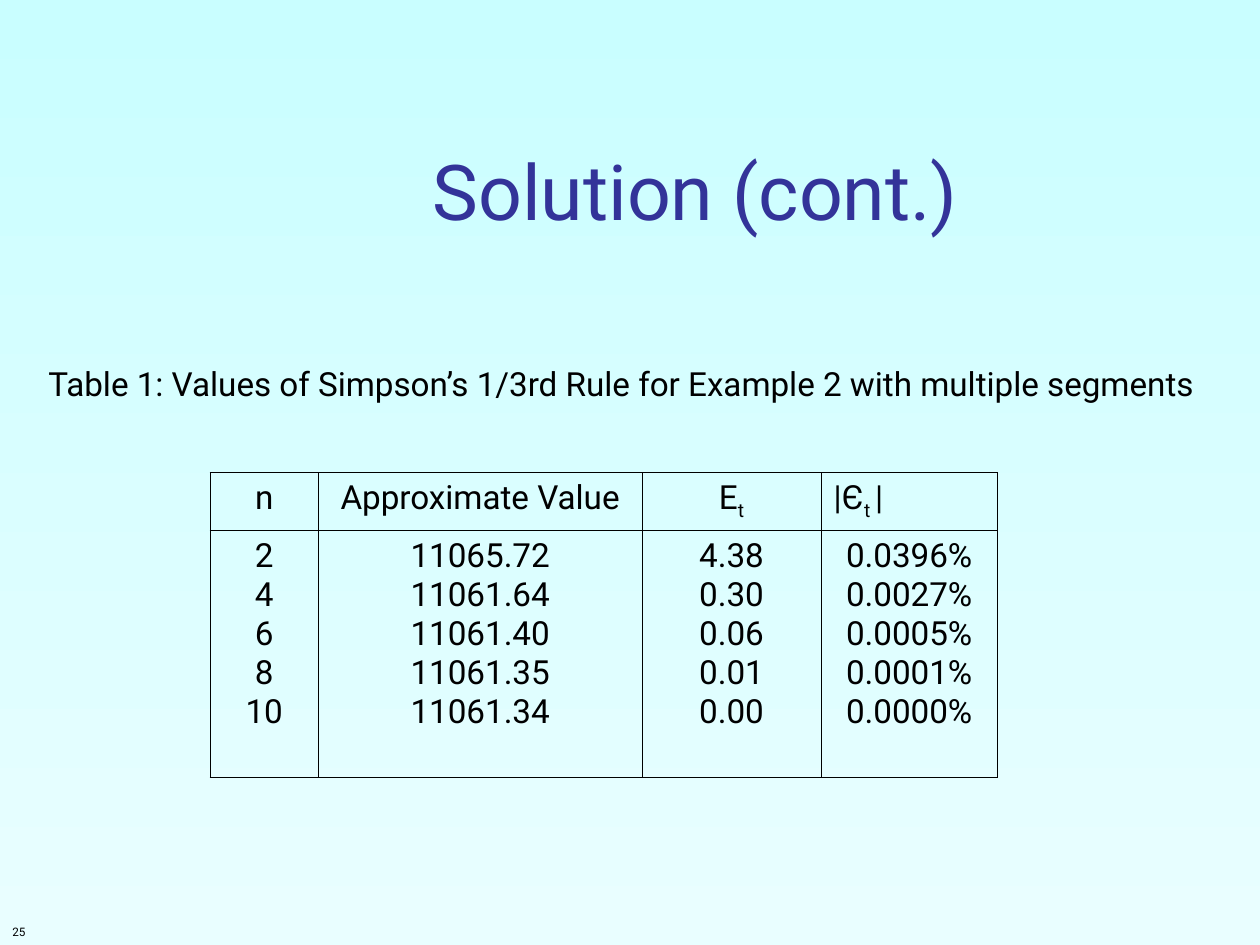
from lxml import etree
from pptx import Presentation
from pptx import util as u
from pptx.dml.color import RGBColor
from pptx.enum import text
from pptx.oxml.ns import qn

WIDTH, HEIGHT = 10, 7.5
FONT = "Roboto"
BODY_SIZE = 19
BORDER_WIDTH = 0.45
COLORS = {
    "sky_top": "C9FEFF",
    "sky_bottom": "E9FEFF",
    "title": "333399",
    "ink": "000000",
}
SUBSCRIPT = -25
COLUMN_WIDTHS = [0.86, 2.57, 1.42, 1.4]
ROW_HEIGHTS = [0.46, 1.96]
# Each heading is a list of (text, baseline shift in percent).
HEADINGS = [
    [("n", 0)],
    [("Approximate Value", 0)],
    [("E", 0), ("t", SUBSCRIPT)],
    [("|Є", 0), ("t ", SUBSCRIPT), ("|", 0)],
]
RESULTS = [
    ("2", "11065.72", "4.38", "0.0396%"),
    ("4", "11061.64", "0.30", "0.0027%"),
    ("6", "11061.40", "0.06", "0.0005%"),
    ("8", "11061.35", "0.01", "0.0001%"),
    ("10", "11061.34", "0.00", "0.0000%"),
]


def color(name):
    return RGBColor.from_string(COLORS[name])


def add_run(paragraph, words, size=BODY_SIZE, ink="ink", baseline=0):
    run = paragraph.add_run()
    run.text = words
    run.font.name = FONT
    run.font.size = u.Pt(size)
    run.font.color.rgb = color(ink)
    if baseline:
        run._r.get_or_add_rPr().set("baseline", str(baseline * 1000))


def paint_background(slide):
    fill = slide.background.fill
    fill.gradient()
    fill.gradient_angle = 270
    for stop, name in zip(fill.gradient_stops, ("sky_top", "sky_bottom")):
        stop.color.rgb = color(name)


def add_label(slide, box, words, size, anchor, align, ink="ink", wrap=True):
    shape = slide.shapes.add_textbox(*map(u.Inches, box))
    frame = shape.text_frame
    frame.word_wrap = wrap
    frame.vertical_anchor = anchor
    paragraph = frame.paragraphs[0]
    paragraph.alignment = align
    add_run(paragraph, words, size, ink)


def outline_cell(cell):
    """Draw a thin line on all four sides and leave the cell unfilled."""
    properties = cell._tc.get_or_add_tcPr()
    for side in ("a:lnL", "a:lnR", "a:lnT", "a:lnB"):
        line = etree.SubElement(properties, qn(side), w=str(u.Pt(BORDER_WIDTH)))
        solid = etree.SubElement(line, qn("a:solidFill"))
        etree.SubElement(solid, qn("a:srgbClr"), val=COLORS["ink"])
    cell.fill.background()


def add_results_table(slide, left, top):
    frame = slide.shapes.add_table(
        len(ROW_HEIGHTS), len(COLUMN_WIDTHS), u.Inches(left), u.Inches(top),
        u.Inches(sum(COLUMN_WIDTHS)), u.Inches(sum(ROW_HEIGHTS)))
    table = frame.table
    table.first_row = table.horz_banding = False
    for row, height in zip(table.rows, ROW_HEIGHTS):
        row.height = u.Inches(height)
    for column, width in zip(table.columns, COLUMN_WIDTHS):
        column.width = u.Inches(width)
    for cell in table.iter_cells():
        outline_cell(cell)

    for index, (heading, values) in enumerate(zip(HEADINGS, zip(*RESULTS))):
        paragraph = table.cell(0, index).text_frame.paragraphs[0]
        is_last = index == len(HEADINGS) - 1
        paragraph.alignment = text.PP_ALIGN.LEFT if is_last else text.PP_ALIGN.CENTER
        paragraph.space_before = u.Pt(4.8)
        for words, baseline in heading:
            add_run(paragraph, words, baseline=baseline)

        body = table.cell(1, index).text_frame
        for number, value in enumerate(values):
            paragraph = body.add_paragraph() if number else body.paragraphs[0]
            paragraph.alignment = text.PP_ALIGN.CENTER
            add_run(paragraph, value)


def build_solution_slide(presentation):
    slide = presentation.slides.add_slide(presentation.slide_layouts[6])
    paint_background(slide)
    anchor, align = text.MSO_ANCHOR, text.PP_ALIGN
    add_label(slide, (0, HEIGHT - 0.25, 2.08, 0.25), "25", 6.7,
              anchor.BOTTOM, align.LEFT)
    add_label(slide, (1.26, 0.67, 8.52, 1.25), "Solution (cont.)", 44,
              anchor.BOTTOM, align.CENTER, ink="title")
    add_label(slide, (0.05, 2.83, 9.76, 0.42),
              "Table 1: Values of Simpson’s 1/3rd Rule for Example 2 "
              "with multiple segments",
              BODY_SIZE, anchor.MIDDLE, align.CENTER, wrap=False)
    add_results_table(slide, WIDTH / 6, HEIGHT / 2)


def main():
    presentation = Presentation()
    presentation.slide_width = u.Inches(WIDTH)
    presentation.slide_height = u.Inches(HEIGHT)
    build_solution_slide(presentation)
    presentation.save("out.pptx")


if __name__ == "__main__":
    main()
